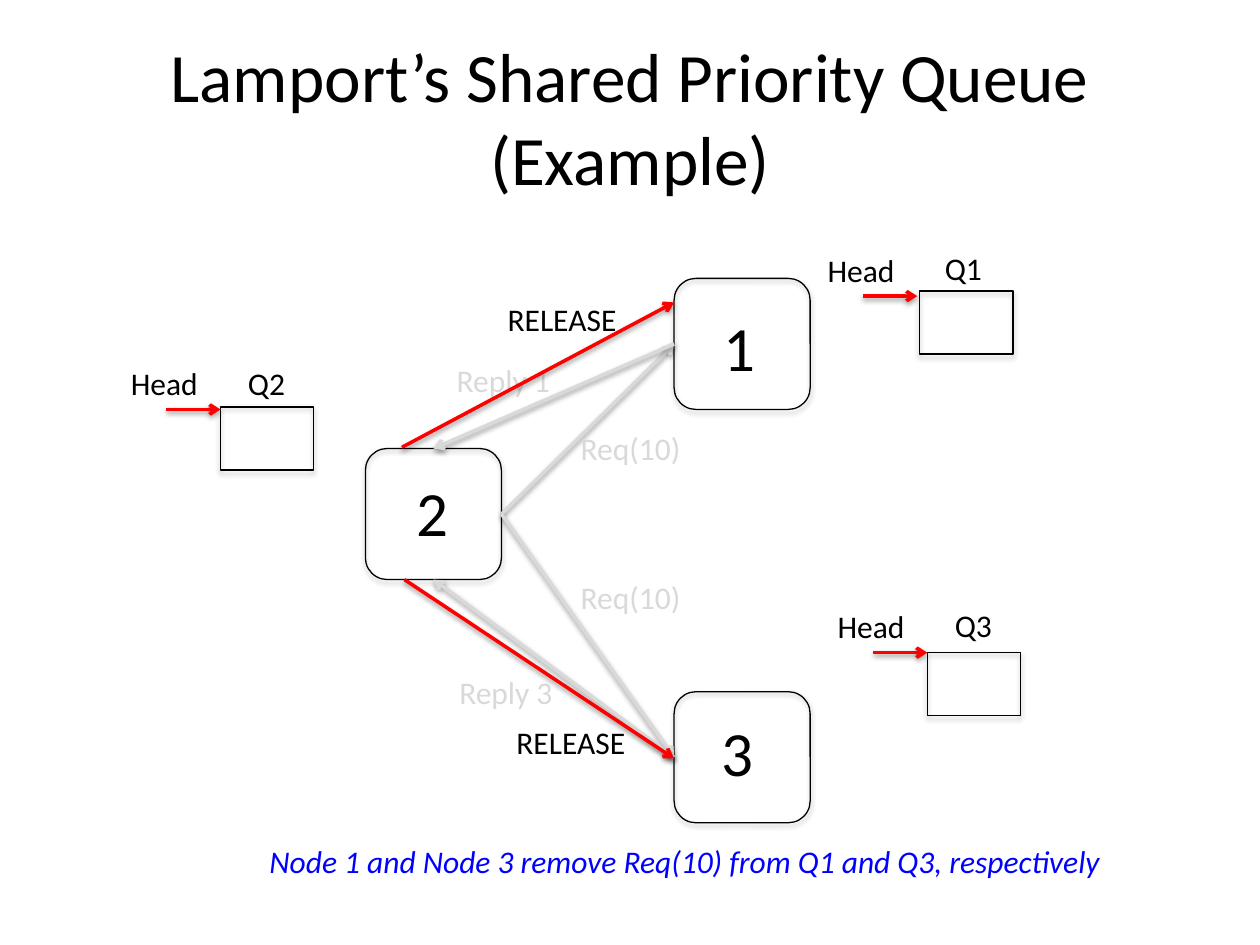
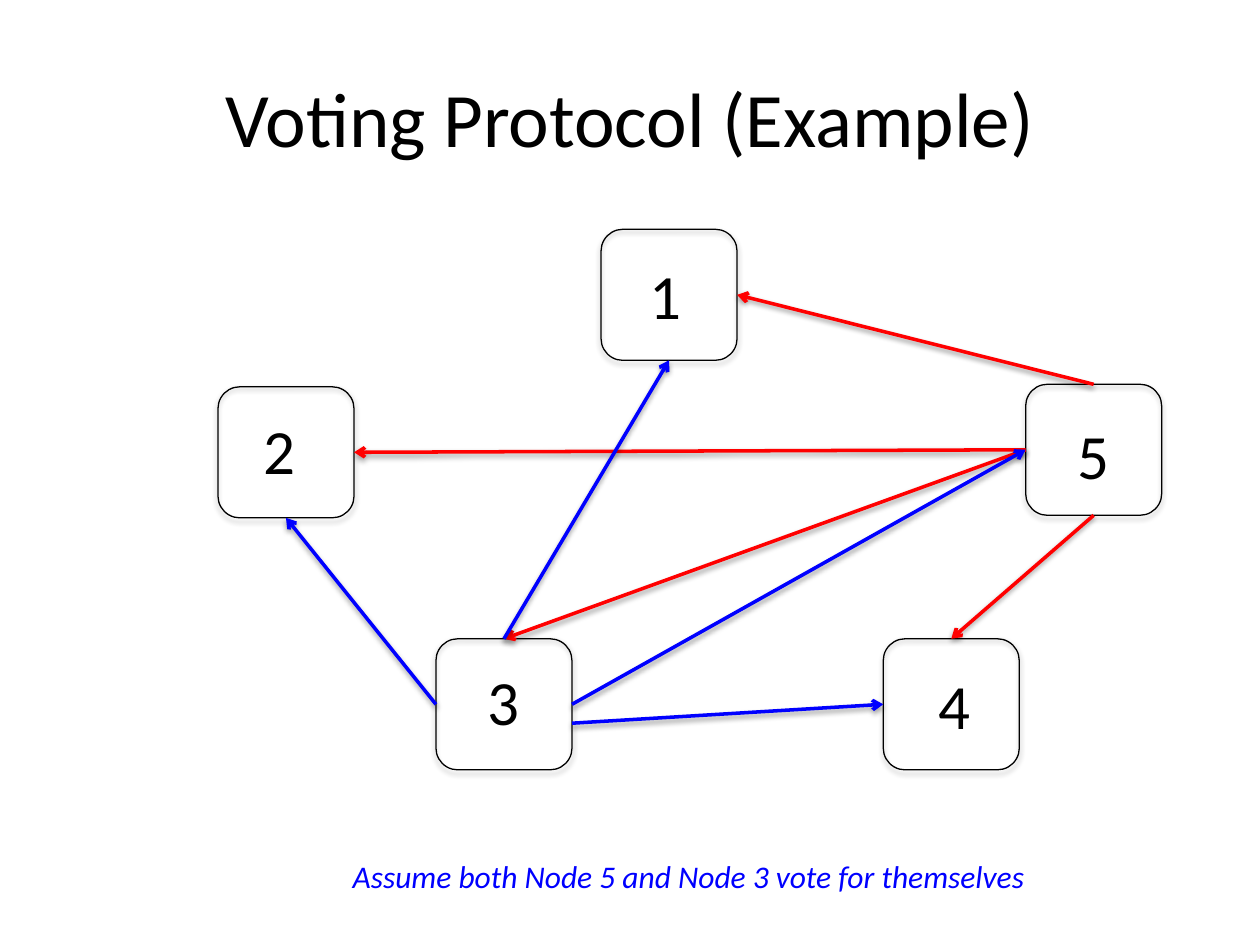
from dataclasses import dataclass

from lxml.etree import SubElement
from pptx import Presentation
from pptx.dml.color import RGBColor
from pptx.enum.shapes import MSO_CONNECTOR, MSO_SHAPE
from pptx.enum.text import MSO_ANCHOR, MSO_AUTO_SIZE, PP_ALIGN
from pptx.oxml.ns import qn
from pptx.util import Inches, Pt


@dataclass(frozen=True)
class Theme:
    """Colours, type sizes and line widths shared by the slides."""

    font: str = "Calibri"
    ink: str = "000000"
    past: str = "D9D9D9"
    red: str = "FF0000"
    blue: str = "0000FF"
    title_size: float = 44
    number_size: float = 36
    label_size: float = 18
    outline: float = 0.75
    arrow: float = 2


THEME = Theme()
NODE_SIZE = (1.08, 1.04)
QUEUE_SIZE = (0.74, 0.5)
TOP, LEFT, BOTTOM, RIGHT = range(4)


def inches(*lengths):
    """Turn plain numbers into slide lengths."""
    return [Inches(length) for length in lengths]


def apply(target, formats):
    """Set every attribute named in formats on target."""
    for attribute, value in formats.items():
        setattr(target, attribute, value)


def style_run(run, size, color, italic=False):
    """Give a run its typeface, size and colour."""
    apply(run.font, {"name": THEME.font, "size": Pt(size), "italic": italic})
    run.font.color.rgb = RGBColor.from_string(color)


def cast_shadow(properties, opacity, distance):
    """Put a soft downward shadow in a shape's properties."""
    effects = properties.find(qn("a:effectLst"))
    if effects is None:
        effects = SubElement(properties, qn("a:effectLst"))
    shadow = SubElement(effects, qn("a:outerShdw"), blurRad=str(Pt(3.1)),
                        dist=str(Pt(distance)), dir="5400000", rotWithShape="0")
    tint = SubElement(shadow, qn("a:srgbClr"), val=THEME.ink)
    SubElement(tint, qn("a:alpha"), val=str(opacity * 1000))


def add_titled_slide(deck, wording, size=THEME.title_size):
    """Add a title-only slide with a centred title."""
    slide = deck.slides.add_slide(deck.slide_layouts[5])
    title = slide.shapes.title
    left, top, width, height = inches(0.5, 0.3, 9, 1.25)
    apply(title, {"left": left, "top": top, "width": width, "height": height})
    title.text_frame.text = wording
    apply(title.text_frame, {"vertical_anchor": MSO_ANCHOR.MIDDLE, "word_wrap": True})
    heading = title.text_frame.paragraphs[0]
    heading.alignment = PP_ALIGN.CENTER
    style_run(heading.runs[0], size, THEME.ink)
    return slide


def add_label(slide, wording, left, top, width, height=0.4, size=THEME.label_size,
              color=THEME.ink, align=PP_ALIGN.LEFT, italic=False):
    """Add a one-line label that fits its text."""
    frame = slide.shapes.add_textbox(*inches(left, top, width, height)).text_frame
    frame.text = wording
    apply(frame, {"word_wrap": False, "auto_size": MSO_AUTO_SIZE.SHAPE_TO_FIT_TEXT})
    line = frame.paragraphs[0]
    line.alignment = align
    style_run(line.runs[0], size, color, italic)


def add_past_message(slide, wording, left, top, width):
    """Add the pale label of a message already handled."""
    add_label(slide, wording, left, top, width, color=THEME.past, align=PP_ALIGN.CENTER)


def add_caption(slide, wording, left, top, width):
    """Add the blue italic remark under the diagram."""
    add_label(slide, wording, left, top, width, color=THEME.blue, italic=True)


def add_outline(slide, preset, left, top, size):
    """Add an unfilled box with a thin line and a shadow."""
    box = slide.shapes.add_shape(preset, *inches(left, top, *size))
    box.fill.background()
    box.line.color.rgb = RGBColor.from_string(THEME.ink)
    box.line.width = Pt(THEME.outline)
    box.shadow.inherit = False
    cast_shadow(box._element.spPr, 35, 1.8)
    return box


def add_nodes(slide, places):
    """Add numbered nodes and return them by number."""
    nodes = {}
    for number, (corner, label) in places.items():
        nodes[number] = add_outline(slide, MSO_SHAPE.ROUNDED_RECTANGLE, *corner, NODE_SIZE)
        add_label(slide, str(number), *label, 0.46, 0.71, THEME.number_size)
    return nodes


def add_arrow(slide, start, end, color):
    """Add a straight arrow between two points."""
    arrow = slide.shapes.add_connector(MSO_CONNECTOR.STRAIGHT, *inches(*start, *end))
    arrow.line.color.rgb = RGBColor.from_string(color)
    arrow.line.width = Pt(THEME.arrow)
    properties = arrow._element.spPr
    SubElement(properties.find(qn("a:ln")), qn("a:tailEnd"), type="arrow")
    cast_shadow(properties, 38, 1.6)
    return arrow


def link_nodes(slide, nodes, links, color):
    """Glue an arrow from one node's side to another's for each link."""
    for sender, exit_side, receiver, entry_side in links:
        arrow = add_arrow(slide, (0, 0), (1, 1), color)
        arrow.begin_connect(nodes[sender], exit_side)
        arrow.end_connect(nodes[receiver], entry_side)


def add_queue(slide, name, corner, head_tip, name_at):
    """Add an empty queue with its name and head pointer."""
    tip_x, tip_y = head_tip
    add_outline(slide, MSO_SHAPE.RECTANGLE, *corner, QUEUE_SIZE)
    add_label(slide, name, *name_at, 0.5)
    add_arrow(slide, (tip_x - 0.43, tip_y), head_tip, THEME.red)
    add_label(slide, "Head", tip_x - 0.81, tip_y - 0.41, 0.74)


def build_priority_queue(deck):
    """Build the slide on releasing a request in the shared queue."""
    slide = add_titled_slide(deck, "Lamport’s Shared Priority Queue (Example)", 39.6)
    nodes = add_nodes(slide, {
        1: ((5.35, 2.21), (5.64, 2.4)),
        2: ((2.9, 3.56), (3.21, 3.71)),
        3: ((5.35, 5.49), (5.63, 5.61)),
    })
    link_nodes(slide, nodes, [
        (2, RIGHT, 1, LEFT),
        (2, RIGHT, 3, LEFT),
        (1, LEFT, 2, TOP),
        (3, LEFT, 2, BOTTOM),
    ], THEME.past)
    for top in (3.36, 4.54):
        add_past_message(slide, "Req(10)", 4.5, top, 1.01)
    add_past_message(slide, "Reply 1", 3.52, 2.82, 0.95)
    add_past_message(slide, "Reply 3", 3.54, 5.29, 0.95)

    add_queue(slide, "Q1", (7.3, 2.31), (7.28, 2.35), (7.4, 1.93))
    add_queue(slide, "Q2", (1.75, 3.23), (1.75, 3.25), (1.87, 2.84))
    add_queue(slide, "Q3", (7.36, 5.18), (7.36, 5.18), (7.48, 4.76))

    for start, end, label in [
        ((3.19, 3.55), (5.35, 2.4), (3.93, 2.33)),
        ((3.21, 4.6), (5.35, 6.02), (4, 5.69)),
    ]:
        add_arrow(slide, start, end, THEME.red)
        add_label(slide, "RELEASE", *label, 1.08)
    add_caption(slide, "Node 1 and Node 3 remove Req(10) from Q1 and Q3, respectively",
                2.04, 6.63, 6.93)


def build_voting(deck):
    """Build the slide on two nodes asking for votes."""
    slide = add_titled_slide(deck, "Voting Protocol (Example)")
    nodes = add_nodes(slide, {
        1: ((4.77, 1.82), (5.06, 1.99)),
        2: ((1.73, 3.07), (1.99, 3.22)),
        3: ((3.46, 5.07), (3.77, 5.21)),
        4: ((7.01, 5.07), (7.35, 5.24)),
        5: ((8.14, 3.05), (8.45, 3.26)),
    })
    link_nodes(slide, nodes, [
        (5, TOP, 1, RIGHT),
        (5, LEFT, 2, RIGHT),
        (5, LEFT, 3, TOP),
        (5, BOTTOM, 4, TOP),
    ], THEME.red)
    link_nodes(slide, nodes, [
        (3, TOP, 1, BOTTOM),
        (3, RIGHT, 5, LEFT),
        (3, LEFT, 2, BOTTOM),
    ], THEME.blue)
    add_arrow(slide, (4.54, 5.74), (7.01, 5.59), THEME.blue)
    add_caption(slide, "Assume both Node 5 and Node 3 vote for themselves", 2.7, 6.75, 5.66)


def main():
    """Build both slides and save the deck."""
    deck = Presentation()
    apply(deck, {"slide_width": Inches(10), "slide_height": Inches(7.5)})
    build_priority_queue(deck)
    build_voting(deck)
    deck.save("out.pptx")


if __name__ == "__main__":
    main()
